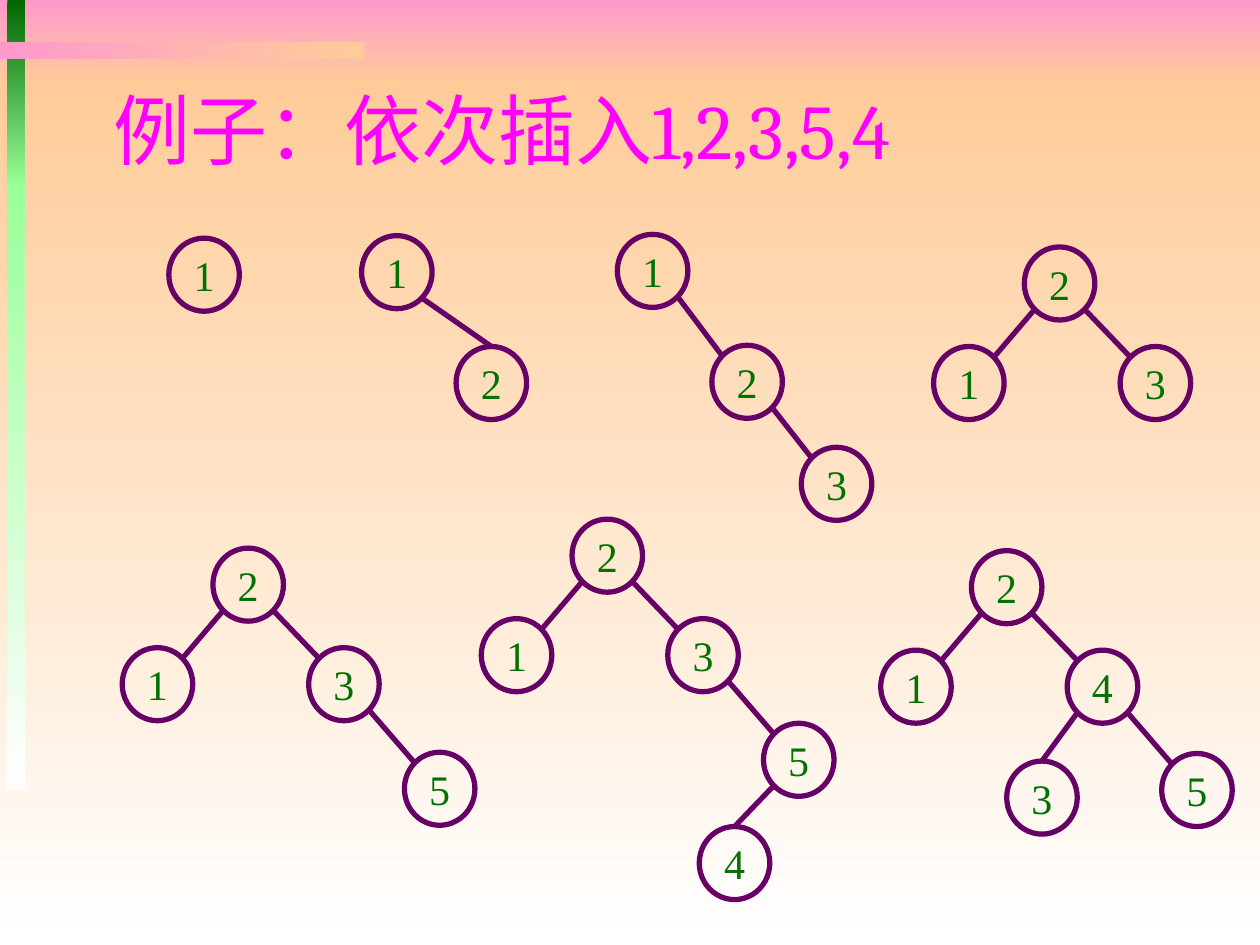
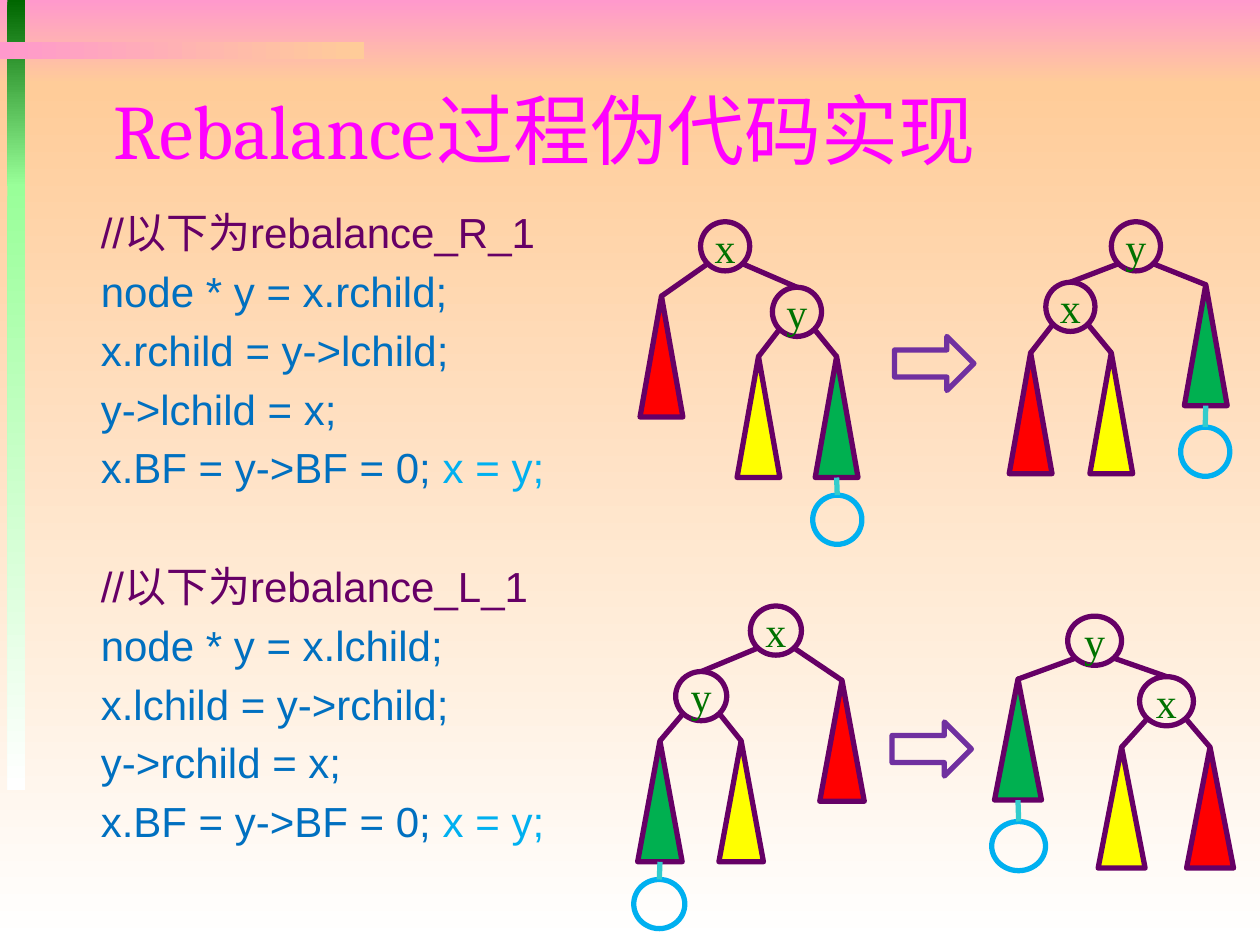
import pptx
import pptx.dml.color
import pptx.enum.shapes
import pptx.enum.text
import pptx.oxml
import pptx.util

SHAPE = pptx.enum.shapes.MSO_SHAPE
COLS, ROWS = 100, 75
CELL = pptx.util.Inches(0.1)
PLUM, MAGENTA, GREEN = "660066", "FF00FF", "007200"
BLUE, SKY, TEAL, VIOLET = "0070C0", "00B0F0", "33CCCC", "7030A0"
PINK, PEACH, MINT, WHITE = "FF99CC", "FFCC99", "99FF99", "FFFFFF"
TITLE_BOX = (8, 5.7, 85, 9)
CODE_BOX = (7, 15.9, 45.3, 54)
BANDS = [
    ((0, 0, COLS, 6.7), PINK, PEACH, 270),
    ((0, 6.7, COLS, 68.3), PEACH, WHITE, 270),
    ((0.6, 0, 1.4, 14.8), "006600", MINT, 270),
    ((0.6, 14.6, 1.4, 48.1), MINT, WHITE, 270),
    ((0, 3.3, 28.9, 1.4), PINK, PEACH, 0),
]

NODE_W, NODE_H = 5.6, 5.8
LEFT, RIGHT, LOW_RIGHT, STEEP = (-7.2, 7.9), (7.6, 7.9), (7.6, 8.3), (7.5, 8.8)
FORK = [("2", None, (0, 0), False), ("1", 0, LEFT, False)]
FORK_3 = FORK + [("3", 0, RIGHT, False)]
FORK_35 = FORK_3 + [("5", 2, LOW_RIGHT, False)]
ROOT_1 = [("1", None, (0, 0), False)]
INSERTIONS = [
    ((13.4, 18.9), ROOT_1),
    ((28.7, 18.7), ROOT_1 + [("2", 0, STEEP, True)]),
    ((49, 18.6), ROOT_1 + [("2", 0, STEEP, False), ("3", 1, (7.1, 8.1), False)]),
    ((81.3, 19.6), FORK_3),
    ((16.9, 43.5), FORK_35),
    ((45.4, 41.2), FORK_35 + [("4", 3, (-5.1, 8.2), True)]),
    ((77.1, 43.7), FORK + [("4", 0, RIGHT, False), ("5", 2, (7.5, 8.2), False),
                           ("3", 2, (-4.8, 8.8), True)]),
]

CIRCLE, TRIANGLE, SPAN = (3.9, 3.9), (3.4, 9.6), 17.6
SUBTREES = {"red": "FF0000", "yellow": "FFFF00", "green": "00B050"}
BEFORE = (
    {"x": (4.8, 0), "red": (0, 5.9), "y": (10.5, 5.2), "yellow": (7.7, 10.7),
     "green": (13.9, 10.7), "new": (13.7, 21.7)},
    ["x red", "x y", "y yellow", "y green"],
)
AFTER = (
    {"red": (0, 10.4), "yellow": (6.4, 10.4), "green": (13.9, 5), "new": (13.6, 16.3),
     "y": (8.1, 0), "x": (2.9, 4.8)},
    ["x red", "x yellow", "y x", "y green"],
)
ROTATIONS = [
    ((50.8, 17.6, 17.6), BEFORE, False),
    ((80.1, 17.6, 17.6), AFTER, False),
    ((50.3, 48.1, 18.3), BEFORE, True),
    ((78.6, 48.9, 19.3), AFTER, True),
]
ARROWS = [(71, 26.7, 6.3, 4.3), (70.8, 57.3, 6.3, 4.3)]


def rgb(code):
    """Turn a hex string into a colour."""
    return pptx.dml.color.RGBColor.from_string(code)


def assign(obj, values):
    """Set every attribute named in a dict."""
    for name, value in values.items():
        setattr(obj, name, value)


def emu(box):
    """Turn grid cells into slide lengths."""
    return [round(n * CELL) for n in box]


def move(sp, box):
    """Put a shape on a grid box."""
    assign(sp, dict(zip(("left", "top", "width", "height"), emu(box))))


def set_font(font, size, name, color):
    """Give a font its size, face and colour."""
    assign(font, {"size": pptx.util.Pt(size), "name": name})
    font.color.rgb = rgb(color)


def outline(line, color):
    """Give a shape or connector a three-point line."""
    line.color.rgb = rgb(color)
    line.width = pptx.util.Pt(3)


def add_figure(shapes, kind, box, color=PLUM, fill=None):
    """Add an outlined shape, hollow unless a fill is given."""
    sp = shapes.add_shape(kind, *emu(box))
    sp.shadow.inherit = False
    outline(sp.line, color)
    if fill:
        sp.fill.solid()
        sp.fill.fore_color.rgb = rgb(fill)
    else:
        sp.fill.background()
    return sp


def add_node(shapes, key, box):
    """Add a labelled tree node."""
    sp = add_figure(shapes, SHAPE.OVAL, box)
    tf = sp.text_frame
    assign(tf, dict.fromkeys(("margin_left", "margin_top", "margin_right", "margin_bottom"), 0))
    tf.vertical_anchor = pptx.enum.text.MSO_ANCHOR.MIDDLE
    p = tf.paragraphs[0]
    p.alignment = pptx.enum.text.PP_ALIGN.CENTER
    r = p.add_run()
    r.text = key
    set_font(r.font, 24, "Times New Roman", GREEN)
    return sp


def rim(sp, across, down):
    """Find a point on an oval, as shares of its half width and height."""
    return (round(sp.left + sp.width * (1 + across) / 2),
            round(sp.top + sp.height * (1 + down) / 2))


def add_link(shapes, parent, child, to_top=True, stem=False):
    """Join a parent to its child, from the lower rim or straight down."""
    side = 0.71 if child.left > parent.left else -0.71
    start = rim(parent, 0, 1) if stem else rim(parent, side, 0.71)
    c = shapes.add_connector(pptx.enum.shapes.MSO_CONNECTOR.STRAIGHT,
                             *start, *rim(child, -side, -0.71))
    if to_top:
        c.end_connect(child, 0)
    outline(c.line, TEAL if stem else PLUM)
    c.element.spPr.append(pptx.oxml.parse_xml(
        '<a:effectLst xmlns:a="http://schemas.openxmlformats.org/drawingml/2006/main"/>'))


def add_bands(prs, s):
    """Draw the gradient bands and hand them to the slide master."""
    tree = prs.slide_master.shapes.element
    for i, (box, first, last, angle) in enumerate(BANDS):
        sp = s.shapes.add_shape(SHAPE.RECTANGLE, *emu(box))
        sp.shadow.inherit = False
        sp.line.fill.background()
        sp.fill.gradient()
        sp.fill.gradient_angle = angle
        for stop, color in zip(sp.fill.gradient_stops, (first, last)):
            stop.color.rgb = rgb(color)
        sp.element.nvSpPr.cNvPr.set("id", str(50 + i))
        tree.insert(2 + i, sp.element)


def add_title(s, text):
    """Place and format the slide title."""
    sp = s.shapes.title
    move(sp, TITLE_BOX)
    tf = sp.text_frame
    assign(tf, {"vertical_anchor": pptx.enum.text.MSO_ANCHOR.MIDDLE, "word_wrap": True,
                "auto_size": pptx.enum.text.MSO_AUTO_SIZE.NONE})
    p = tf.paragraphs[0]
    p.alignment = pptx.enum.text.PP_ALIGN.LEFT
    r = p.add_run()
    r.text = text
    set_font(r.font, 44, "Cambria", MAGENTA)


def rotation_code(name, child, other):
    """List the lines of one rotation as coloured runs."""
    return [
        [(f"//以下为{name}", PLUM)],
        [(f"node * y = x.{child};", BLUE)],
        [(f"x.{child} = y->{other};", BLUE)],
        [(f"y->{other} = x;", BLUE)],
        [("x.BF = y->BF = 0; ", BLUE), ("x = y;", SKY)],
    ]


def add_code(s, box, blocks):
    """Fill the body placeholder with blocks of code."""
    sp = s.placeholders[1]
    move(sp, box)
    tf = sp.text_frame
    assign(tf, {"word_wrap": True, "auto_size": pptx.enum.text.MSO_AUTO_SIZE.NONE})
    for b, block in enumerate(blocks):
        for i, runs in enumerate(block):
            p = tf.add_paragraph() if b or i else tf.paragraphs[0]
            pPr = p._p.get_or_add_pPr()
            pPr.set("marL", "0")
            pPr.set("indent", "0")
            pPr.append(pptx.oxml.parse_xml(
                '<a:buNone xmlns:a="http://schemas.openxmlformats.org/drawingml/2006/main"/>'))
            if i == 0:
                p.space_before = pptx.util.Pt(39 * b)
            for text, color in runs:
                r = p.add_run()
                r.text = text
                set_font(r.font, 24, "Arial", color)


def add_insertion(s, corner, nodes):
    """Draw a search tree from its root's corner, each node stepping from its parent."""
    shapes = s.shapes.add_group_shape().shapes
    spots, drawn = [], []
    for key, parent, step, to_top in nodes:
        x, y = corner if parent is None else spots[parent]
        spots.append((x + step[0], y + step[1]))
        drawn.append(add_node(shapes, key, (*spots[-1], NODE_W, NODE_H)))
        if parent is not None:
            add_link(shapes, drawn[parent], drawn[-1], to_top)


def add_rotation(s, box, state, mirrored):
    """Draw one rotation state, stretched to the box and mirrored if asked."""
    shapes = s.shapes.add_group_shape().shapes
    left, top, width = box
    scale = width / SPAN
    parts, links = state
    drawn = {}
    for name, (x, y) in parts.items():
        w, h = TRIANGLE if name in SUBTREES else CIRCLE
        x = SPAN - x - w if mirrored else x
        place = (left + x * scale, top + y, w * scale, h)
        if name in SUBTREES:
            drawn[name] = add_figure(shapes, SHAPE.ISOSCELES_TRIANGLE, place, fill=SUBTREES[name])
        elif name == "new":
            drawn[name] = add_figure(shapes, SHAPE.OVAL, place, SKY)
        else:
            drawn[name] = add_node(shapes, name, place)
    for link in links:
        add_link(shapes, *(drawn[name] for name in link.split()))
    add_link(shapes, drawn["green"], drawn["new"], stem=True)


def insertion_slide(prs):
    """Build the slide of successive insertions."""
    s = prs.slides.add_slide(prs.slide_layouts[5])
    add_bands(prs, s)
    add_title(s, "例子：依次插入1,2,3,5,4")
    for corner, nodes in INSERTIONS:
        add_insertion(s, corner, nodes)


def rebalance_slide(prs):
    """Build the slide of rotation code and diagrams."""
    s = prs.slides.add_slide(prs.slide_layouts[1])
    add_title(s, "Rebalance过程伪代码实现")
    add_code(s, CODE_BOX, [rotation_code("rebalance_R_1", "rchild", "lchild"),
                           rotation_code("rebalance_L_1", "lchild", "rchild")])
    for box, state, mirrored in ROTATIONS:
        add_rotation(s, box, state, mirrored)
    for box in ARROWS:
        add_figure(s.shapes, SHAPE.RIGHT_ARROW, box, VIOLET)


def main():
    """Build and save the two slides."""
    prs = pptx.Presentation()
    assign(prs, {"slide_width": COLS * CELL, "slide_height": ROWS * CELL})
    insertion_slide(prs)
    rebalance_slide(prs)
    prs.save("out.pptx")


if __name__ == "__main__":
    main()
